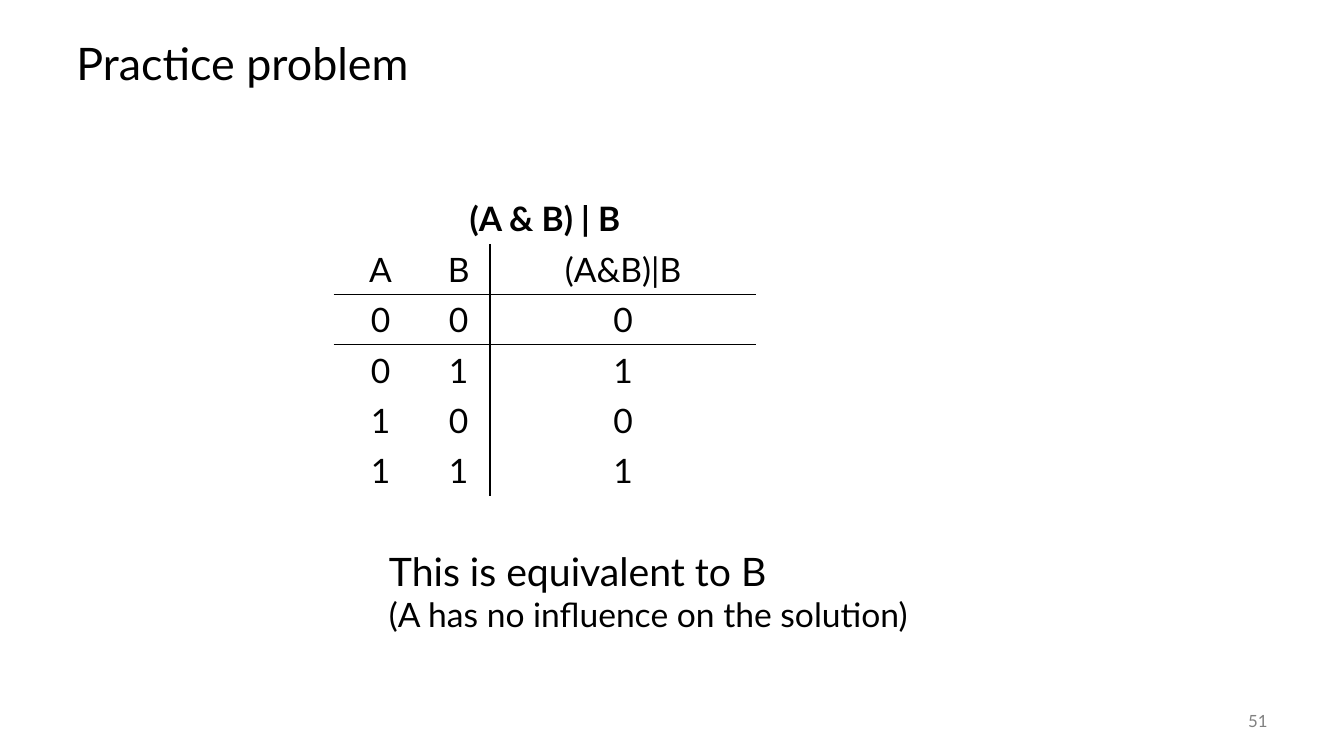
from lxml.etree import SubElement
from pptx import Presentation
from pptx.dml.color import RGBColor
from pptx.enum.text import MSO_ANCHOR as Anchor, PP_ALIGN as Align
from pptx.oxml.ns import qn
from pptx.util import Inches, Pt

FONT = "Lato"
COLORS = {"text": "000000", "rule": "000000", "number": "808080"}
NO_GRID_STYLE = "{2D5ABB26-0587-4C30-8999-92F81FD0307C}"
COLUMN_WIDTHS = [0.93, 0.62, 2.64]
ROW_HEIGHT = 0.5
EXPRESSION = "(A & B) | B"
HEADINGS = ["A", "B", "(A&B)|B"]


def style_runs(para, sizes, color="text", bold=False):
    """Format the runs of a paragraph, one size for each run."""
    for span, size in zip(para.runs, sizes):
        span.font.name = FONT
        span.font.size = Pt(size)
        span.font.bold = bold
        span.font.color.rgb = RGBColor.from_string(COLORS[color])


def add_text(page, text, place, sizes, color="text", align=Align.LEFT,
             anchor=Anchor.MIDDLE):
    box = page.shapes.add_textbox(*map(Inches, place))
    frame = box.text_frame
    frame.word_wrap = True
    frame.vertical_anchor = anchor
    para = frame.paragraphs[0]
    para.text = text
    para.alignment = align
    style_runs(para, sizes, color)


def add_border(cell, side):
    """Draw one side of a cell; sides must come in the order L, R, T, B."""
    properties = cell._tc.get_or_add_tcPr()
    line = SubElement(properties, qn(f"a:ln{side}"), w=str(Pt(1)))
    fill = SubElement(line, qn("a:solidFill"))
    SubElement(fill, qn("a:srgbClr"), val=COLORS["rule"])


def fill_cell(cell, text, bold=False, borders=""):
    cell.vertical_anchor = Anchor.MIDDLE
    para = cell.text_frame.paragraphs[0]
    para.text = text
    para.alignment = Align.CENTER
    style_runs(para, [24], bold=bold)
    for side in borders:
        add_border(cell, side)
    cell.fill.background()


def add_truth_table(page, left, top):
    inputs = [(a, b) for a in (0, 1) for b in (0, 1)]
    rows = [HEADINGS] + [[a, b, (a & b) | b] for a, b in inputs]
    row_count = len(rows) + 1
    frame = page.shapes.add_table(
        row_count, len(HEADINGS), Inches(left), Inches(top),
        Inches(sum(COLUMN_WIDTHS)), Inches(row_count * ROW_HEIGHT))
    table = frame.table
    table.first_row = table.horz_banding = False
    table._tbl.tblPr.find(qn("a:tableStyleId")).text = NO_GRID_STYLE
    for column, width in zip(table.columns, COLUMN_WIDTHS):
        column.width = Inches(width)
    for row in table.rows:
        row.height = Inches(ROW_HEIGHT)

    table.cell(0, 0).merge(table.cell(0, len(HEADINGS) - 1))
    fill_cell(table.cell(0, 0), EXPRESSION, bold=True)
    for row_index, values in enumerate(rows, start=1):
        heading_rule = {1: "B", 2: "T"}.get(row_index, "")
        for column_index, value in enumerate(values):
            result_rule = ("", "R", "L")[column_index]
            fill_cell(table.cell(row_index, column_index), str(value),
                      borders=result_rule + heading_rule)


def main():
    deck = Presentation()
    deck.slide_width, deck.slide_height = Inches(13.33), Inches(7.5)
    page = deck.slides.add_slide(deck.slide_layouts[6])
    add_text(page, "Practice problem", (0.66, 0.25, 12, 0.75), [32])
    add_text(page, "51", (11.67, 6.95, 1, 0.4), [12], "number", Align.RIGHT)
    add_truth_table(page, 3.31, 1.92)
    add_text(page,
             "This is equivalent to B\v(A has no influence on the solution)",
             (3.76, 5.38, 6.47, 0.98), [28, 24], anchor=Anchor.TOP)
    deck.save("out.pptx")


if __name__ == "__main__":
    main()
